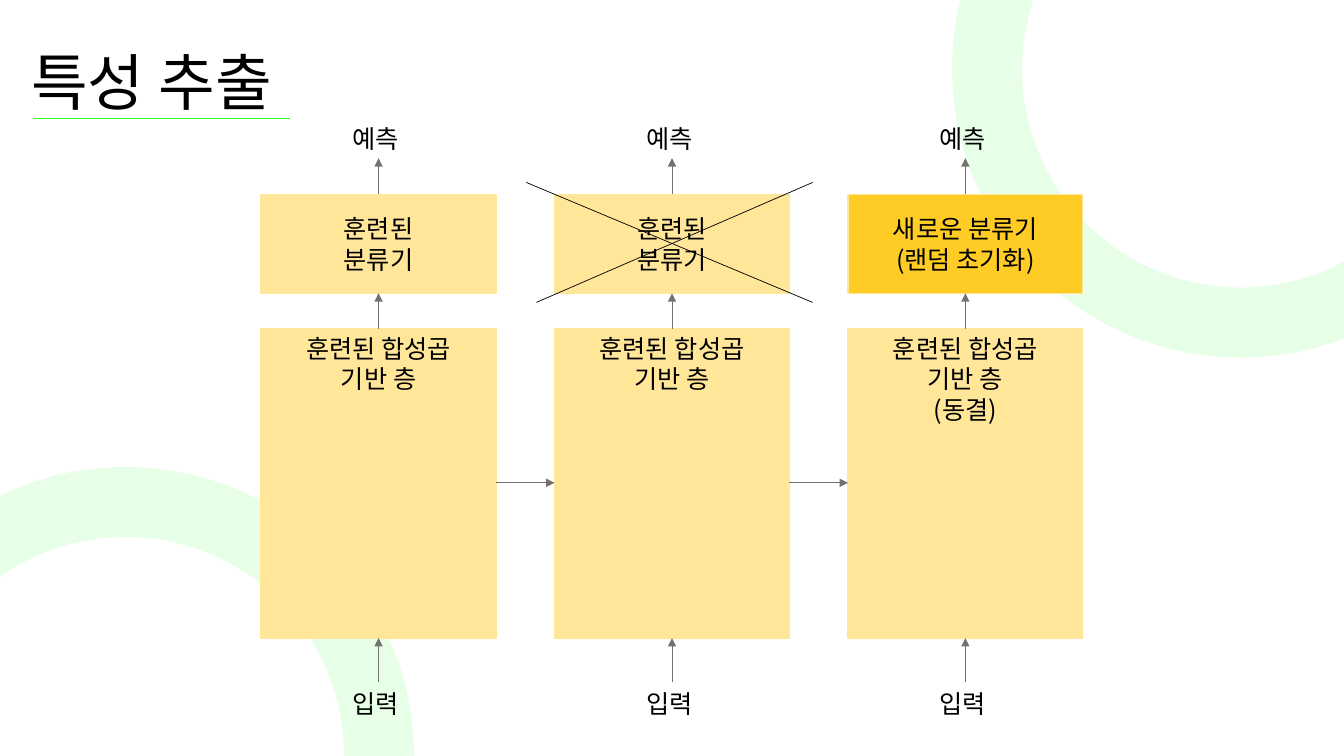
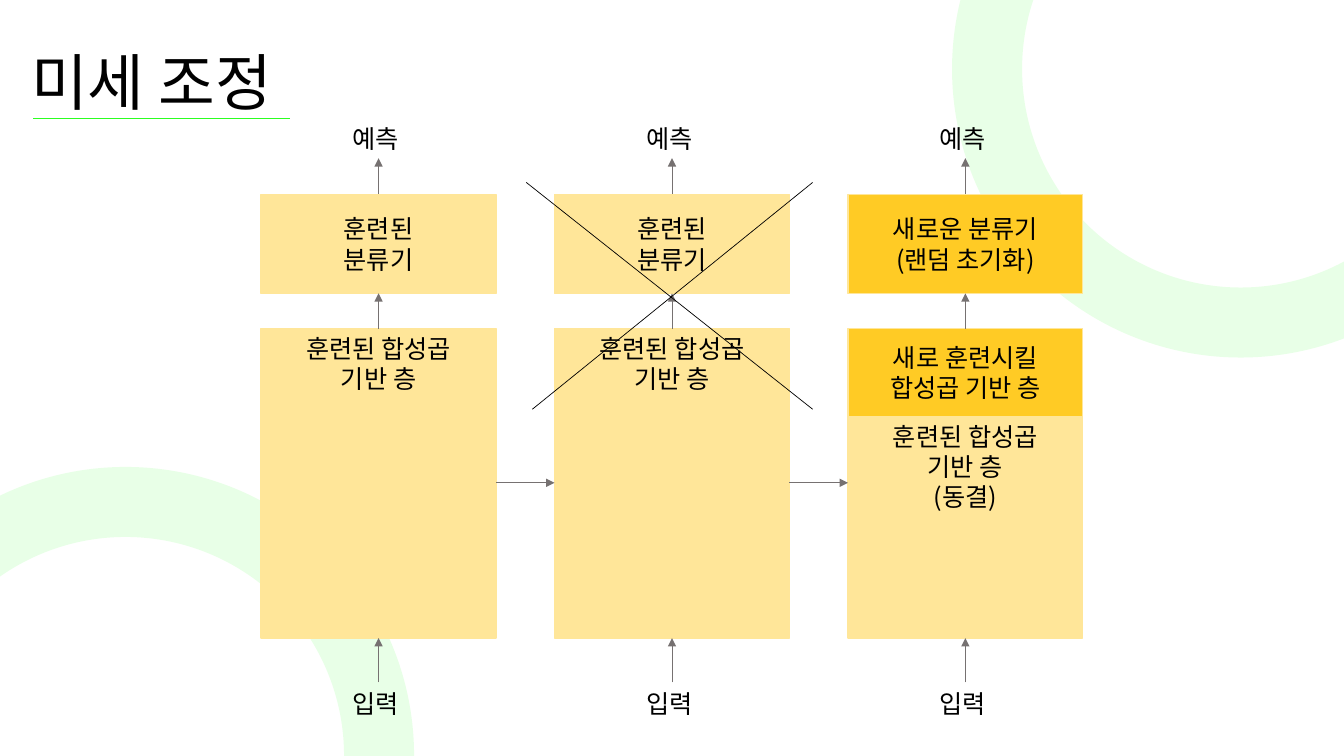
from lxml.etree import SubElement
from pptx import Presentation
from pptx.dml.color import RGBColor
from pptx.enum.shapes import MSO_CONNECTOR, MSO_SHAPE
from pptx.enum.text import MSO_ANCHOR as Anchor, MSO_AUTO_SIZE as AutoSize, PP_ALIGN as Align
from pptx.oxml.ns import qn
from pptx.util import Inches, Pt

FONT = "Noto Sans CJK KR"
COLORS = {
    "text": "000000",
    "ring": "E8FFE7",
    "underline": "2CFF21",
    "trained": "FFE699",
    "new": "FFCB25",
    "arrow": "767171",
}

COLUMN_LEFTS = [2.59 + 2.91 * column for column in range(3)]
BOX_WIDTH = 2.33
CLASSIFIER_TOP, CLASSIFIER_HEIGHT = 1.93, 0.98
BASE_TOP, BASE_BOTTOM = 3.26, 6.33
NEW_LAYER_HEIGHT = 0.87
FLOW_Y = 4.79

TRAINED_CLASSIFIER = ["훈련된", "분류기"]
NEW_CLASSIFIER = ["새로운 분류기", "(랜덤 초기화)"]
TRAINED_BASE = ["훈련된 합성곱", "기반 층"]
FROZEN_BASE = [*TRAINED_BASE, "(동결)"]
NEW_LAYER = ["새로 훈련시킬", "합성곱 기반 층"]


def color(name):
    return RGBColor.from_string(COLORS[name])


def write(frame, lines, size=18, align=Align.CENTER):
    """Fill the frame with one paragraph per line, in the deck's font."""
    frame.text = "\n".join(lines)
    for paragraph in frame.paragraphs:
        paragraph.alignment = align
        paragraph.font.size = Pt(size)
        paragraph.font.color.rgb = color("text")
        paragraph.font.name = FONT
        defaults = paragraph._p.pPr.find(qn("a:defRPr"))
        SubElement(defaults, qn("a:ea"), typeface=FONT)


def add_line(slide, start, end, line_color, arrow=False):
    points = [Inches(value) for value in (*start, *end)]
    line = slide.shapes.add_connector(MSO_CONNECTOR.STRAIGHT, *points)
    line.line.color.rgb = color(line_color)
    line.line.width = Pt(0.5)
    properties = line._element.spPr
    if arrow:
        SubElement(properties.find(qn("a:ln")), qn("a:tailEnd"), type="triangle")
    SubElement(properties, qn("a:effectLst"))


def add_arrow(slide, start, end):
    add_line(slide, start, end, "arrow", arrow=True)


def add_ring(slide, left, top):
    ring = slide.shapes.add_shape(
        MSO_SHAPE.OVAL, Inches(left), Inches(top), Inches(5.03), Inches(5.03))
    ring.shadow.inherit = False
    ring.fill.background()
    ring.line.color.rgb = color("ring")
    ring.line.width = Pt(50)


def add_box(slide, left, top, height, lines, fill="trained", anchor=Anchor.MIDDLE):
    box = slide.shapes.add_shape(
        MSO_SHAPE.RECTANGLE, Inches(left), Inches(top), Inches(BOX_WIDTH), Inches(height))
    box.shadow.inherit = False
    box.fill.solid()
    box.fill.fore_color.rgb = color(fill)
    box.line.color.rgb = color("trained")
    box.line.width = Pt(1)
    box.text_frame.vertical_anchor = anchor
    write(box.text_frame, lines)


def add_label(slide, center, top, label):
    width = 0.71
    frame = slide.shapes.add_textbox(
        Inches(center - width / 2), Inches(top), Inches(width), Inches(0.4)).text_frame
    frame.word_wrap = False
    frame.auto_size = AutoSize.SHAPE_TO_FIT_TEXT
    write(frame, [label], align=Align.LEFT)


def add_titled_slide(deck, heading):
    """Add a slide with the shared rings, title and underline."""
    slide = deck.slides.add_slide(deck.slide_layouts[5])
    add_ring(slide, -1.27, 4.98)
    add_ring(slide, 9.79, -1.83)
    title = slide.shapes.title
    title.left, title.top = Inches(0.21), Inches(0.12)
    title.width, title.height = Inches(11.5), Inches(1.45)
    frame = title.text_frame
    frame.vertical_anchor = Anchor.MIDDLE
    frame.auto_size = AutoSize.NONE
    write(frame, [heading], size=44, align=Align.LEFT)
    frame.paragraphs[0].line_spacing = 0.9
    add_line(slide, (0.33, 1.17), (2.88, 1.17), "underline")
    return slide


def add_model(slide, left, classifier, base, classifier_fill="trained", new_layer=None):
    """Draw one column: input, convolutional base, classifier, prediction."""
    center = left + BOX_WIDTH / 2
    base_top = BASE_TOP
    if new_layer:
        add_box(slide, left, BASE_TOP, NEW_LAYER_HEIGHT, new_layer, "new")
        base_top += NEW_LAYER_HEIGHT
    add_box(slide, left, base_top, BASE_BOTTOM - base_top, base, anchor=Anchor.TOP)
    add_box(slide, left, CLASSIFIER_TOP, CLASSIFIER_HEIGHT, classifier, classifier_fill)

    classifier_bottom = CLASSIFIER_TOP + CLASSIFIER_HEIGHT
    for start, end in [(6.77, BASE_BOTTOM), (BASE_TOP, classifier_bottom), (1.92, 1.57)]:
        add_arrow(slide, (center, start), (center, end))
    add_label(slide, center, 6.78, "입력")
    add_label(slide, center, 1.17, "예측")


def add_cross(slide, lower_left, bottom):
    top, right = 1.81, 8.06
    add_line(slide, (5.22, top), (right, bottom), "text")
    add_line(slide, (lower_left, bottom), (right, top), "text")


def add_transfer_slide(deck, heading, cross_left, cross_bottom, new_layer=None):
    slide = add_titled_slide(deck, heading)
    first, second, third = COLUMN_LEFTS
    for left in (first, second):
        add_model(slide, left, TRAINED_CLASSIFIER, TRAINED_BASE)
    add_model(slide, third, NEW_CLASSIFIER, FROZEN_BASE, "new", new_layer)
    add_cross(slide, cross_left, cross_bottom)
    for left, following in zip(COLUMN_LEFTS, COLUMN_LEFTS[1:]):
        add_arrow(slide, (left + BOX_WIDTH, FLOW_Y), (following, FLOW_Y))


def main():
    deck = Presentation()
    deck.slide_width, deck.slide_height = Inches(13.33), Inches(7.5)
    add_transfer_slide(deck, "특성 추출", 5.32, 3)
    add_transfer_slide(deck, "미세 조정", 5.28, 4.06, NEW_LAYER)
    deck.save("out.pptx")


if __name__ == "__main__":
    main()
